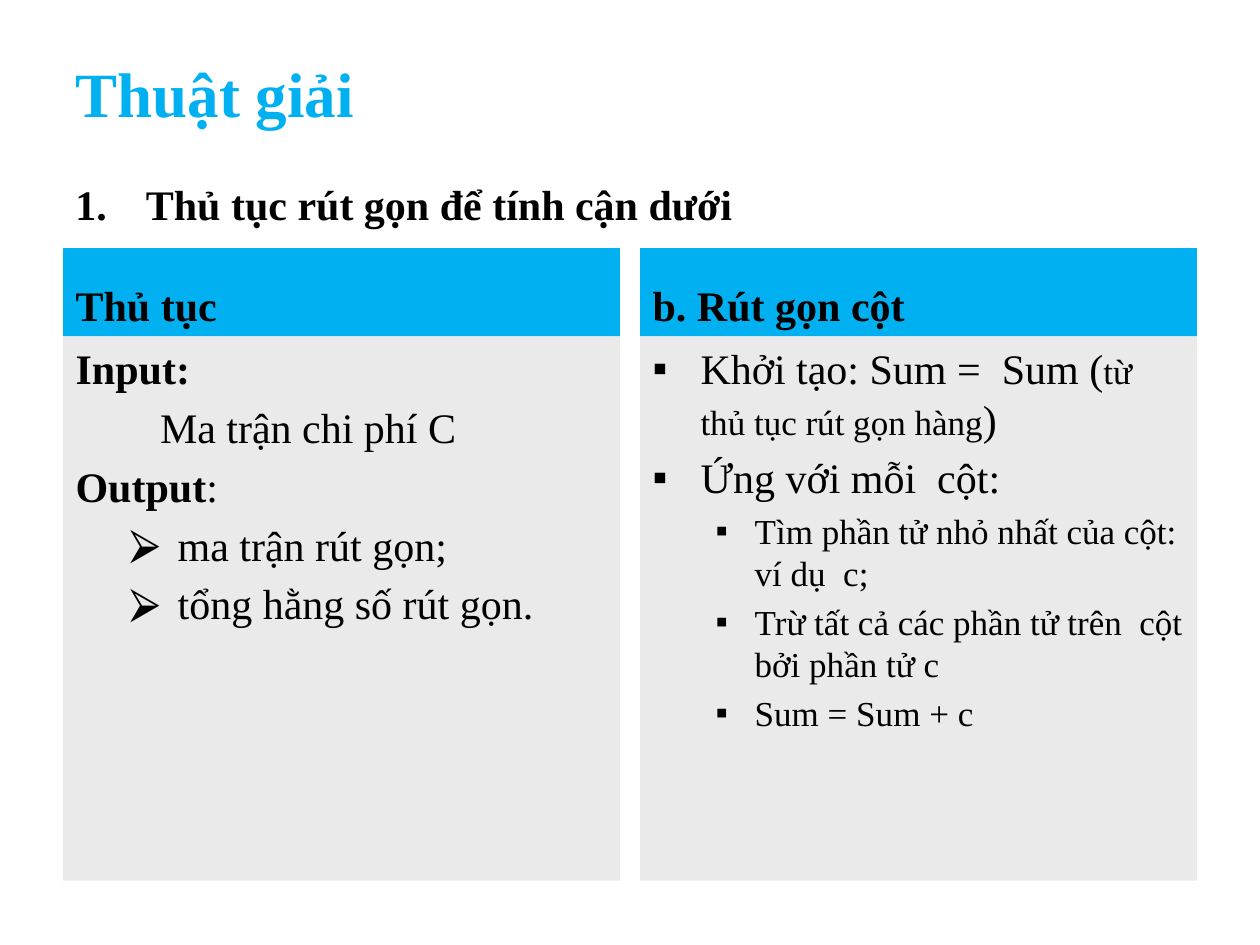
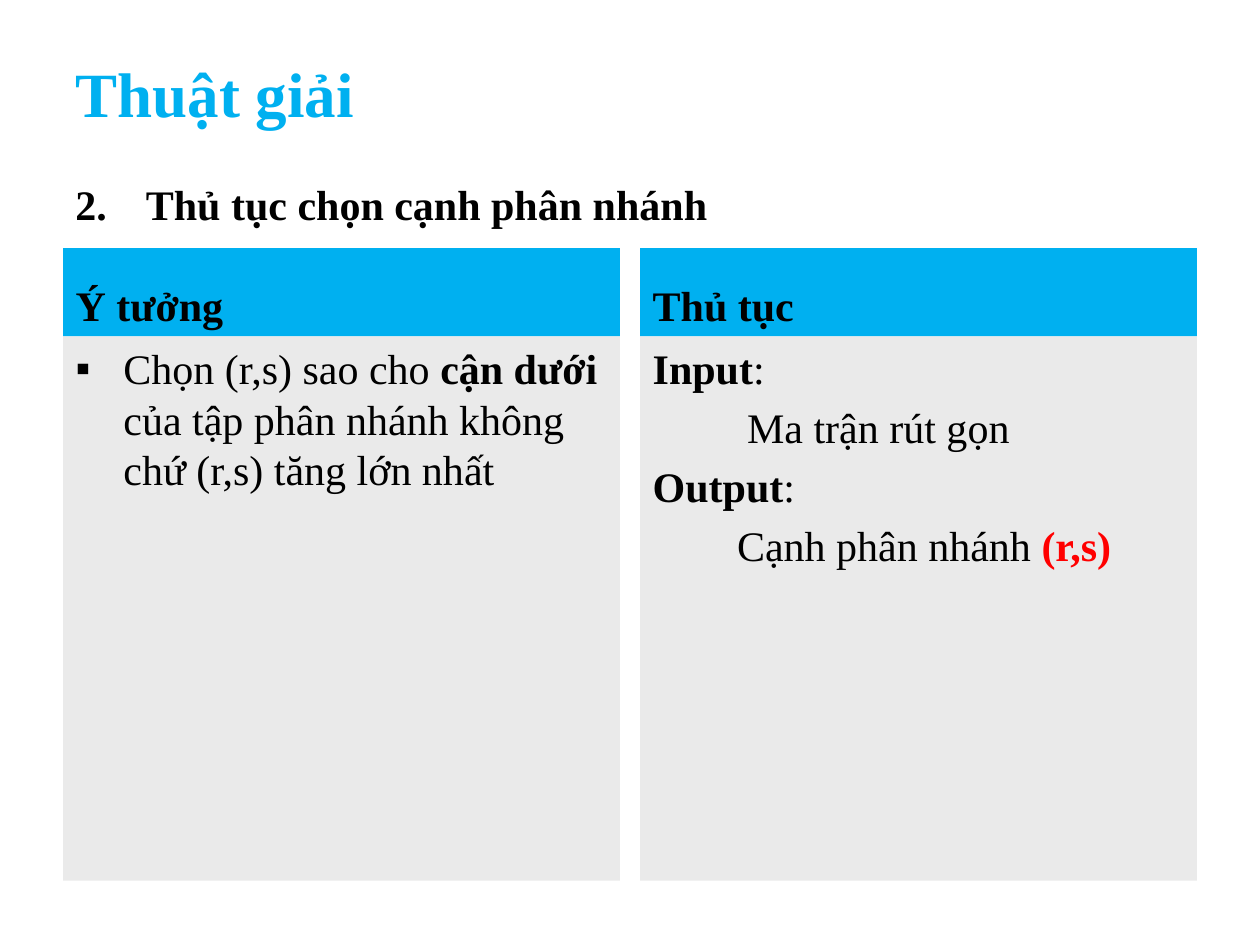
"""Build two slides that set out a branching procedure in paired panels."""
from lxml import etree
from pptx import Presentation
from pptx.dml.color import RGBColor
from pptx.enum import text as t
from pptx.oxml.ns import qn
from pptx.util import Inches, Pt

FONT = "Times New Roman"
HUES = {"sky": "00B0F0", "grey": "EAEAEA", "ink": "000000", "red": "FF0000"}
EDGE, WIDE, GAP = 0.5, 4.42, 0.16
TOP, HEAD, BODY = 1.97, 0.7, 4.32
STYLES = {
    "plain": dict(),
    "inset": dict(left=0.67),
    "deep": dict(left=0.75),
    "dot": dict(left=0.38, hang=0.38, mark="▪"),
    "sub": dict(left=0.81, hang=0.31, mark="▪", size=20, level=1),
    "arrow": dict(left=0.81, hang=0.38, mark="⮚", level=1),
}


def place(shape, left, top, width, height):
    shape.left, shape.top = Inches(left), Inches(top)
    shape.width, shape.height = Inches(width), Inches(height)


def frame(shape, anchor):
    box = shape.text_frame
    box.word_wrap = True
    box.auto_size = t.MSO_AUTO_SIZE.NONE
    box.vertical_anchor = anchor
    return box


def add_run(para, words, size=24, bold=False, hue="ink"):
    run = para.add_run()
    run.text = words
    font = run.font
    font.name, font.size, font.bold = FONT, Pt(size), bold
    font.color.rgb = RGBColor.from_string(HUES[hue])


def indent(para, left=0, hang=0, mark=None, start=None):
    props = para._p.get_or_add_pPr()
    props.set("marL", str(Inches(left)))
    props.set("indent", str(-Inches(hang)))
    if not (mark or start):
        etree.SubElement(props, qn("a:buNone"))
        return
    tint = etree.SubElement(props, qn("a:buClr"))
    etree.SubElement(tint, qn("a:srgbClr"), val=HUES["ink"])
    etree.SubElement(props, qn("a:buFont"), typeface=FONT)
    if mark:
        etree.SubElement(props, qn("a:buChar"), char=mark)
    else:
        etree.SubElement(props, qn("a:buAutoNum"), type="arabicPeriod",
                         startAt=str(start))


def add_title(slide, words):
    title = slide.shapes.title
    place(title, EDGE, 0.3, 9, 0.87)
    para = frame(title, t.MSO_ANCHOR.MIDDLE).paragraphs[0]
    para.alignment = t.PP_ALIGN.LEFT
    add_run(para, words, 36, True, "sky")


def add_step(slide, count, words):
    box = slide.shapes.add_textbox(0, 0, 0, 0)
    place(box, EDGE, 1.17, 8.67, 0.63)
    para = frame(box, t.MSO_ANCHOR.TOP).paragraphs[0]
    para.line_spacing = 1.5
    indent(para, 0.56, 0.56, start=count)
    add_run(para, words, bold=True)


def fill(shape, hue):
    shape.fill.solid()
    shape.fill.fore_color.rgb = RGBColor.from_string(HUES[hue])


def add_head(shape, left, words):
    place(shape, left, TOP, WIDE, HEAD)
    fill(shape, "sky")
    para = frame(shape, t.MSO_ANCHOR.BOTTOM).paragraphs[0]
    para.space_before = Pt(0)
    indent(para)
    add_run(para, words, bold=True)


def add_list(shape, left, items):
    place(shape, left, TOP + HEAD, WIDE, BODY)
    fill(shape, "grey")
    box = frame(shape, t.MSO_ANCHOR.TOP)
    for rank, (style, *runs) in enumerate(items):
        para = box.add_paragraph() if rank else box.paragraphs[0]
        look = dict(STYLES[style])
        size = look.pop("size", 24)
        para.level = look.pop("level", 0)
        para.space_before = Pt(size * 0.2 if rank else 0)
        indent(para, **look)
        for words, opts in runs:
            add_run(para, words, **{"size": size, **opts})


def add_slide(deck, count, step, panels):
    slide = deck.slides.add_slide(deck.slide_layouts[4])
    add_title(slide, "Thuật giải")
    add_step(slide, count, step)
    slots = {s.placeholder_format.idx: s for s in slide.placeholders}
    for col, (head, items) in enumerate(panels):
        left = EDGE + col * (WIDE + GAP)
        add_head(slots[1 + 2 * col], left, head)
        add_list(slots[2 + 2 * col], left, items)


def main():
    deck = Presentation()
    deck.slide_width, deck.slide_height = Inches(10), Inches(7.5)
    bold = {"bold": True}
    output = ("plain", ("Output", bold), (":", {}))
    add_slide(deck, 1, "Thủ tục rút gọn để tính cận dưới", [
        ("Thủ tục", [
            ("plain", ("Input:", bold)),
            ("inset", ("Ma trận chi phí C", {})),
            output,
            ("arrow", ("ma trận rút gọn;", {})),
            ("arrow", ("tổng hằng số rút gọn.", {})),
        ]),
        ("b. Rút gọn cột", [
            ("dot", ("Khởi tạo: Sum =  Sum (", {}),
             ("từ thủ tục rút gọn hàng", {"size": 20}), (")", {})),
            ("dot", ("Ứng với mỗi  cột:", {})),
            ("sub", ("Tìm phần tử nhỏ nhất của cột: ví dụ  c;", {})),
            ("sub", ("Trừ tất cả các phần tử trên  cột bởi phần tử c", {})),
            ("sub", ("Sum = Sum + c", {})),
        ]),
    ])
    add_slide(deck, 2, "Thủ tục chọn cạnh phân nhánh", [
        ("Ý tưởng", [
            ("dot", ("Chọn (r,s) sao cho ", {}), ("cận dưới ", bold),
             ("của tập phân nhánh không chứ (r,s) tăng lớn nhất", {})),
        ]),
        ("Thủ tục", [
            ("plain", ("Input", bold), (":", {})),
            ("deep", ("Ma trận rút gọn", {})),
            output,
            ("inset", ("Cạnh phân nhánh ", {}),
             ("(r,s)", {"bold": True, "hue": "red"})),
        ]),
    ])
    deck.save("out.pptx")


if __name__ == "__main__":
    main()
